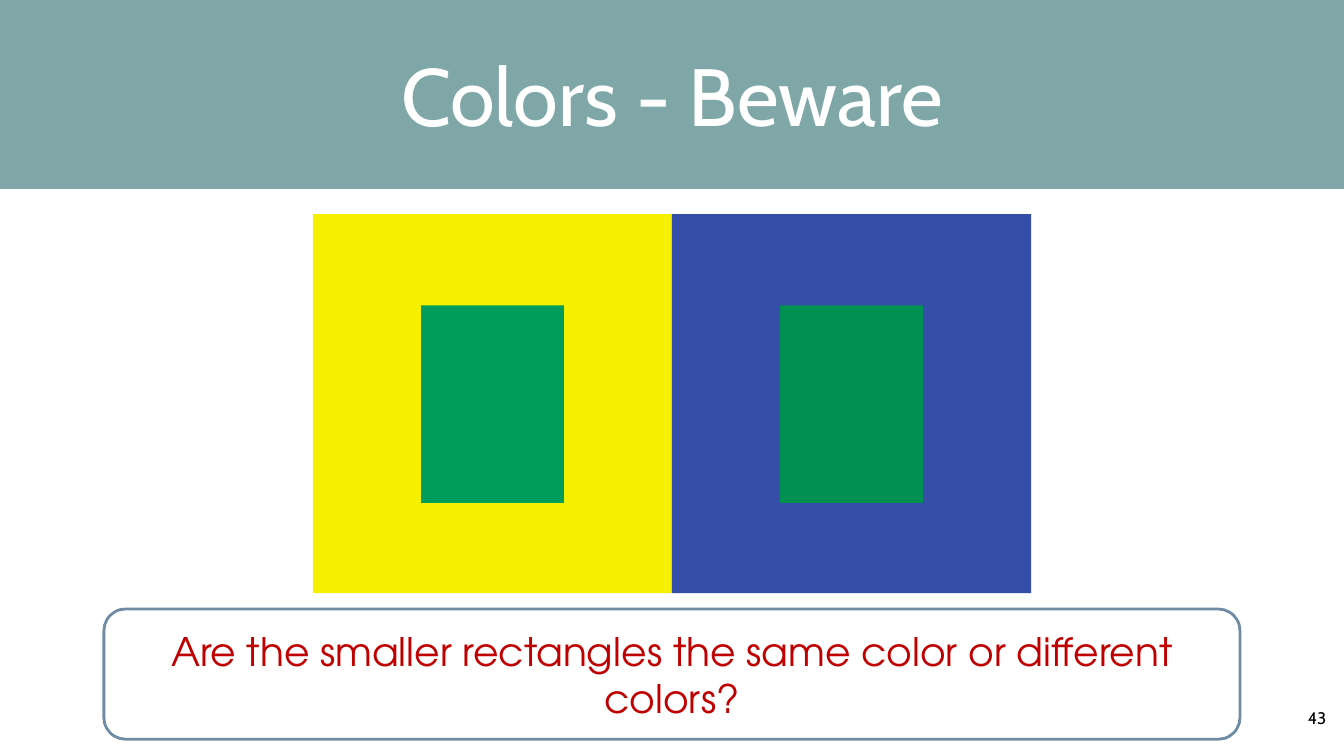
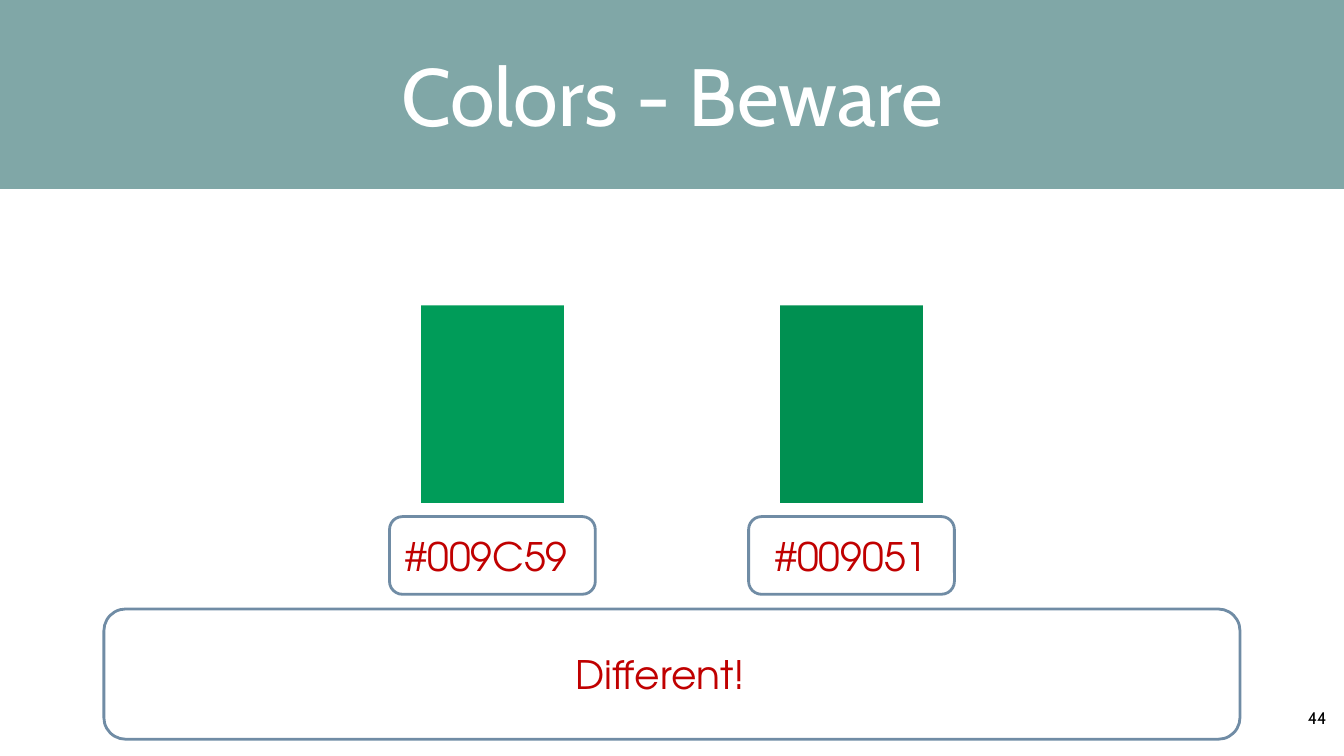
import pptx
import pptx.util
import pptx.dml.color
import pptx.enum.shapes
import pptx.enum.text
from dataclasses import dataclass

PX = 9525  # EMU in one px, 96 px to the inch
SHAPE = pptx.enum.shapes.MSO_SHAPE
ANCHOR = pptx.enum.text.MSO_ANCHOR


@dataclass(frozen=True)
class Theme:
    white: str = "FFFFFF"
    black: str = "000000"
    band: str = "80A7A7"
    outline: str = "708CA5"
    accent: str = "C00000"
    yellow: str = "F4F000"
    blue: str = "354FA9"
    greens: tuple = ("009C59", "009051")
    title_font: str = "Cabin"
    body_font: str = "TeX Gyre Adventor"
    title_size: int = 58
    body_size: int = 28
    number_size: int = 12
    line_width: int = 2


def rgb(value):
    return pptx.dml.color.RGBColor.from_string(value)


def box(x, y, w, h):
    return [pptx.util.Emu(v * PX) for v in (x, y, w, h)]


class Deck:
    WIDTH, HEIGHT = 1280, 720

    def __init__(self, theme):
        self.theme = theme
        self.prs = pptx.Presentation()
        self.prs.slide_width = self.WIDTH * PX
        self.prs.slide_height = self.HEIGHT * PX
        self.s = None

    # Text shared by every element
    def set_text(self, sp, text, font, size, color, insets, anchor=ANCHOR.MIDDLE, wrap=True):
        tf = sp.text_frame
        tf.auto_size = pptx.enum.text.MSO_AUTO_SIZE.NONE
        tf.word_wrap = wrap
        tf.vertical_anchor = anchor
        tf.margin_left, tf.margin_top, tf.margin_right, tf.margin_bottom = box(*insets)
        p = tf.paragraphs[0]
        p.alignment = pptx.enum.text.PP_ALIGN.CENTER
        r = p.add_run()
        r.text = text
        r.font.name = font
        r.font.size = pptx.util.Pt(size)
        r.font.color.rgb = rgb(color)

    # Slide with title band and number
    def slide(self, title, number):
        t = self.theme
        self.s = self.prs.slides.add_slide(self.prs.slide_layouts[5])
        sp = self.s.shapes.title
        sp.left, sp.top, sp.width, sp.height = box(0, 0, self.WIDTH, 180)
        sp.fill.solid()
        sp.fill.fore_color.rgb = rgb(t.band)
        self.set_text(sp, title, t.title_font, t.title_size, t.white, (3, 3, 3, 3))
        sp = self.s.shapes.add_textbox(*box(1241, 669, 27, 30))
        self.set_text(sp, str(number), t.title_font, t.number_size, t.black,
                      (6, 6, 6, 6), ANCHOR.BOTTOM, wrap=False)

    # Plain colour area
    def swatch(self, x, y, w, h, color, kind=SHAPE.RECTANGLE):
        sp = self.s.shapes.add_shape(kind, *box(x, y, w, h))
        sp.shadow.inherit = False
        sp.fill.solid()
        sp.fill.fore_color.rgb = rgb(color)
        sp.line.fill.background()
        return sp

    # Outlined rounded box; pad moves the text to the left
    def callout(self, x, y, w, h, text, pad=0):
        t = self.theme
        sp = self.swatch(x, y, w, h, t.white, SHAPE.FLOWCHART_ALTERNATE_PROCESS)
        sp.line.color.rgb = rgb(t.outline)
        sp.line.width = pptx.util.Pt(t.line_width)
        self.set_text(sp, text, t.body_font, t.body_size, t.accent, (5, 5, 5 + pad, 5))


def main():
    theme = Theme()
    deck = Deck(theme)
    title = "Colors - Beware"

    # Two panels meet at the middle of the slide
    panel_w, panel_h, panel_top = 342, 361, 204
    middle = deck.WIDTH // 2
    panel_lefts = (middle - panel_w, middle)
    centers = [left + panel_w // 2 for left in panel_lefts]
    answer_box = (99, 580, 1082, 124)

    def green_pair():
        w, h = 136, 188
        for center, color in zip(centers, theme.greens):
            deck.swatch(center - w // 2, 291, w, h, color)

    # Question
    deck.slide(title, 43)
    for left, color in zip(panel_lefts, (theme.yellow, theme.blue)):
        deck.swatch(left, panel_top, panel_w, panel_h, color)
    green_pair()
    deck.callout(*answer_box, "Are the smaller rectangles the same color or different colors?")

    # Answer
    deck.slide(title, 44)
    green_pair()
    label_w = 196
    for center, color, pad in zip(centers, theme.greens, (11, 0)):
        deck.callout(center - label_w // 2, 492, label_w, 74, "#" + color, pad)
    deck.callout(*answer_box, "Different!", pad=22)

    deck.prs.save("out.pptx")


if __name__ == "__main__":
    main()
